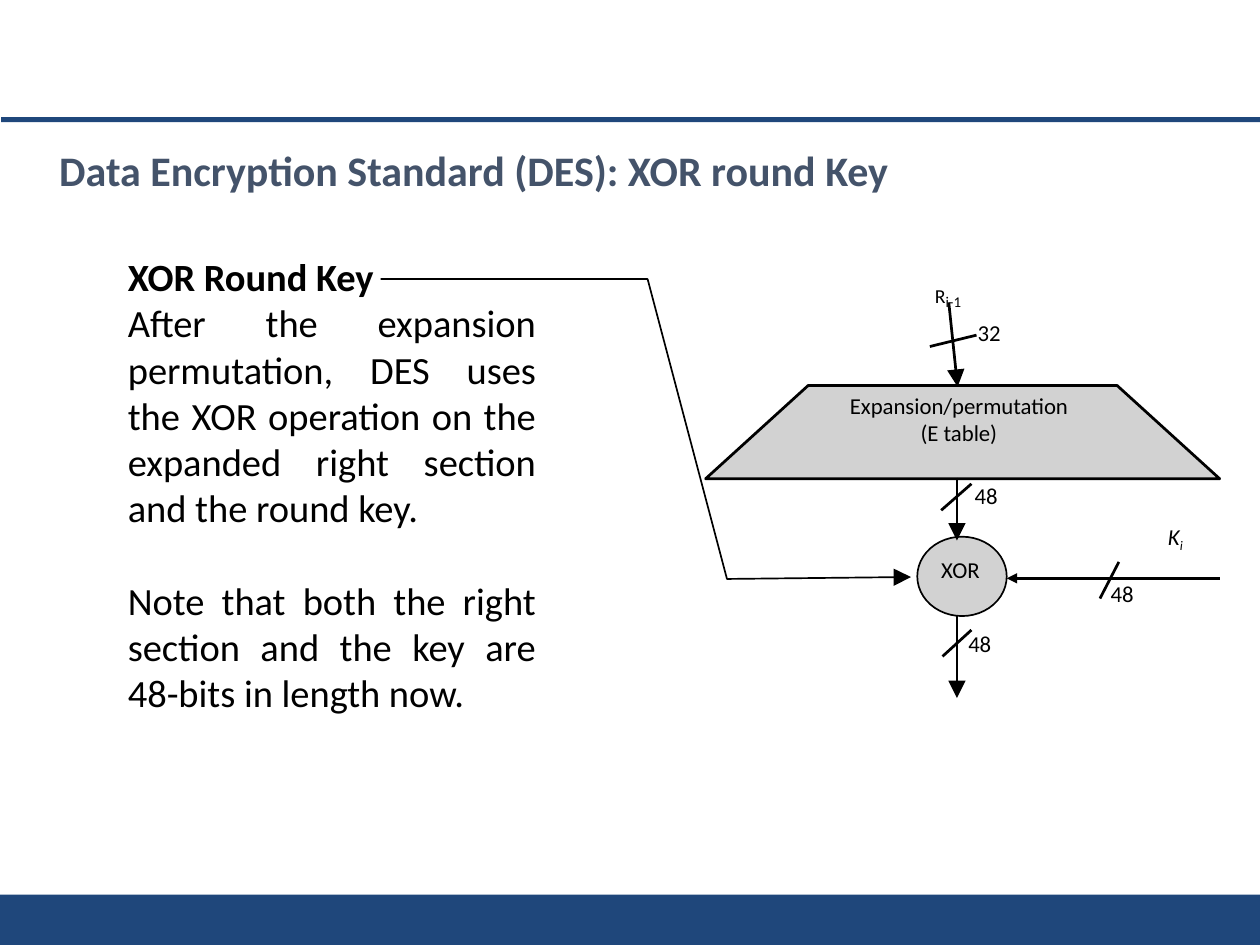
from lxml import etree
from pptx import Presentation
from pptx import util as u
from pptx.dml.color import RGBColor
from pptx.enum import shapes, text
from pptx.oxml.ns import qn

NAVY, SLATE, GREY, BLACK = "1F477B", "44536A", "D2D2D2", "000000"
THIN, THICK = 0.96, 1.56

prs = Presentation()
prs.slide_width, prs.slide_height = u.Inches(10), u.Inches(7.5)
COL, ROW = prs.slide_width / 100, prs.slide_height / 75
s = prs.slides.add_slide(prs.slide_layouts[5])
rgb = RGBColor.from_string


def grid(x, y, *size):
    """Turn columns and rows into slide lengths."""
    return [round(v * unit) for v, unit in zip((x, y, *size), (COL, ROW) * 2)]


def write(sp, paragraphs, align=text.PP_ALIGN.LEFT, size=13, color=BLACK):
    """Fill a text shape; a run is its text and a dict of font values."""
    tf = sp.text_frame
    frame = dict(word_wrap=True, auto_size=text.MSO_AUTO_SIZE.NONE,
                 vertical_anchor=text.MSO_ANCHOR.TOP, margin_left=0,
                 margin_right=0, margin_top=u.Inches(0.02), margin_bottom=0)
    for name, value in frame.items():
        setattr(tf, name, value)
    for i, runs in enumerate(paragraphs):
        p = tf.add_paragraph() if i else tf.paragraphs[0]
        p.alignment = align
        for words, extra in runs:
            r = p.add_run()
            r.text = words
            values = dict(name="Calibri", size=u.Pt(size)) | extra
            baseline = values.pop("baseline", None)
            for name, value in values.items():
                setattr(r.font, name, value)
            r.font.color.rgb = rgb(color)
            if baseline:
                r.font._element.set("baseline", str(baseline * 1000))
    return tf


# Title and page bars
title = s.shapes.title
title.left, title.top, title.width, title.height = grid(4.7, 11.3, 84.8, 4.3)
write(title, [[("Data Encryption Standard (DES): XOR round Key", {"bold": True})]],
      size=24, color=SLATE)

# Bars, trapezoid and XOR circle
KIND = shapes.MSO_SHAPE
for kind, box, fill, outline in (
        (KIND.RECTANGLE, (0, 71, 100, 4), NAVY, None),
        (KIND.RECTANGLE, (0.1, 9.3, 99.9, 0.4), NAVY, None),
        (KIND.TRAPEZOID, (56, 30.6, 40.8, 7.4), GREY, THICK),
        (KIND.OVAL, (72.8, 42.6, 7.1, 6.3), GREY, THIN)):
    sp = s.shapes.add_shape(kind, *grid(*box))
    sp.shadow.inherit = False
    sp.fill.solid()
    sp.fill.fore_color.rgb = rgb(fill)
    if kind == KIND.TRAPEZOID:
        sp.adjustments[0] = 1.1
    if outline:
        sp.line.color.rgb = rgb(BLACK)
        sp.line.width = u.Pt(outline)
    else:
        sp.line.fill.background()

# Explanation
body = s.shapes.add_textbox(*grid(10.15, 19.9, 32.4, 37))
tf = write(body, [
    [("XOR Round Key", {"bold": True})],
    [("After the expansion permutation, DES uses the XOR operation on the "
      "expanded right section and the round key.", {})],
    [("Note that both the right section and the key are 48-bits in length now.", {})],
], text.PP_ALIGN.JUSTIFY, 22)
for p in tf.paragraphs:
    p.line_spacing = u.Pt(26.4)
tf.paragraphs[2].space_before = u.Pt(26.4)

# Leader from the heading to the XOR circle
start, *bends = [grid(*point) for point in
                 ((30.2, 22.15), (51.4, 22.15), (57.7, 45.95), (72.3, 45.8))]
builder = s.shapes.build_freeform(*start)
builder.add_line_segments(bends, close=False)
leader = builder.convert_to_shape()
leader.shadow.inherit = False
leader.fill.background()
lines = [(leader, THIN, "lg")]

# Data flow arrows, then the slashes that mark bus widths
for ends, head in (
        ((75.3, 24, 76, 30.7), "lg"),
        ((75.95, 37.9, 75.95, 42.9), "lg"),
        ((75.95, 48.9, 75.95, 55.4), "lg"),
        ((96.8, 45.9, 79.9, 45.9), "med"),
        ((73.8, 27.5, 77.5, 26.6), None),
        ((74.7, 40.5, 77.1, 38.4), None),
        ((74.8, 52.1, 77.1, 50), None),
        ((87.3, 47.5, 88.8, 44.6), None)):
    line = s.shapes.add_connector(shapes.MSO_CONNECTOR.STRAIGHT,
                                  *grid(*ends[:2]), *grid(*ends[2:]))
    etree.SubElement(line._element.spPr, qn("a:effectLst"))
    lines.append((line, THICK, head))

for line, width, head in lines:
    line.line.color.rgb = rgb(BLACK)
    line.line.width = u.Pt(width)
    if head:
        etree.SubElement(line.line._get_or_add_ln(), qn("a:tailEnd"),
                         type="triangle", w=head, len=head)

# Diagram labels
for x, y, width, runs in (
        (77.6, 25.1, 3, [("32", {})]),
        (77.35, 38, 3, [("48", {})]),
        (76.85, 49.8, 3, [("48", {})]),
        (88.15, 45.8, 3, [("48", {})]),
        (74.7, 43.9, 4, [("XOR", {})]),
        (92.7, 41.3, 3, [("K", {"italic": True}),
                         ("i", {"italic": True, "baseline": -20})]),
        (74.2, 21.5, 4, [("R", {"size": u.Pt(19.5), "baseline": 13}),
                         ("i-1", {"size": u.Pt(8.5)})])):
    write(s.shapes.add_textbox(*grid(x, y, width, 2.4)), [runs])
write(s.shapes.add_textbox(*grid(67.3, 30.9, 17.6, 4.6)),
      [[("Expansion/permutation (E table)", {})]], text.PP_ALIGN.CENTER)

prs.save("out.pptx")
